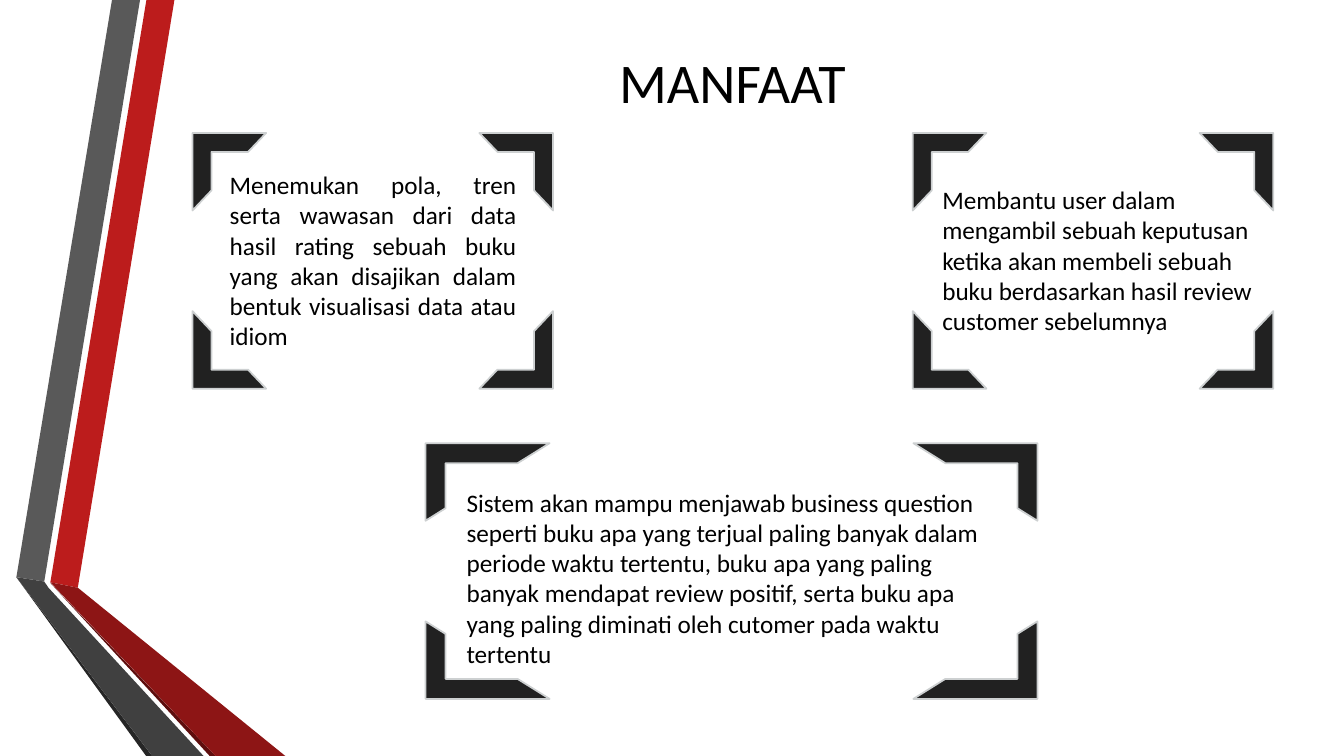
from pptx import Presentation
from pptx.dml.color import RGBColor
from pptx.enum.shapes import MSO_SHAPE
from pptx.enum.text import MSO_ANCHOR, MSO_AUTO_SIZE, PP_ALIGN
from pptx.util import Pt

HALF_FRAME = MSO_SHAPE.HALF_FRAME
MIDDLE = MSO_ANCHOR.MIDDLE
GROW = MSO_AUTO_SIZE.SHAPE_TO_FIT_TEXT
LEFT, CENTER, JUSTIFY = PP_ALIGN.LEFT, PP_ALIGN.CENTER, PP_ALIGN.JUSTIFY

COLORS = {
    "red": "BC1C1C", "red_dark": "8D1515", "red_edge": "5E0E0E",
    "gray": "595959", "gray_dark": "404040", "gray_edge": "262626",
    "corner": "212121", "corner_line": "CDD0D1", "text": "000000",
}


def rgb(name):
    return RGBColor.from_string(COLORS[name])


def set_text(tf, text, size, align):
    tf.word_wrap = True
    p = tf.paragraphs[0]
    p.text = text
    p.alignment = align
    p.font.name = "Calibri"
    p.font.size = Pt(size)
    p.font.color.rgb = rgb("text")


prs = Presentation()
prs.slide_width, prs.slide_height = Pt(960), Pt(540)
s = prs.slides.add_slide(prs.slide_layouts[5])

# Folded ribbons on the left edge
ribbons = [
    ("red", [(36, 416), (55.6, 419.8), (124.6, 0), (104.6, 0)]),
    ("gray", [(100, 0), (80, 0), (11.7, 412.3), (31.6, 415.4)]),
    ("gray_edge", [(11.7, 412.3), (104.4, 540), (108.7, 540)]),
    ("red_edge", [(36, 416.5), (149.8, 540), (154, 540)]),
    ("red_dark", [(36, 416), (154, 540), (203.8, 540), (55.6, 419.8)]),
    ("gray_dark", [(145.4, 540), (34.6, 419.8), (31.6, 415.4),
                   (11.7, 412.3), (108.7, 540)]),
]
for color, points in ribbons:
    (x0, y0), *rest = [(Pt(x), Pt(y)) for x, y in points]
    builder = s.shapes.build_freeform(x0, y0)
    builder.add_line_segments(rest, close=True)
    ribbon = builder.convert_to_shape()
    ribbon.shadow.inherit = False
    ribbon.fill.solid()
    ribbon.fill.fore_color.rgb = rgb(color)
    ribbon.line.fill.background()

title = s.shapes.title
title.left, title.top, title.width, title.height = Pt(383.8), Pt(20.2), Pt(278.6), Pt(74.9)
title.text_frame.vertical_anchor = MIDDLE
set_text(title.text_frame, "MANFAAT", 40, CENTER)

# Corner brackets: frame left, top, width and corner width
FRAME_H, CORNER_H = 182.6, 55.4
frames = [(137.5, 95, 257.5, 52.6), (652, 95, 257.5, 52.6), (304, 316.6, 437, 88.6)]
for left, top, width, corner_w in frames:
    for right, bottom, angle in [(0, 0, 0), (1, 0, 90), (0, 1, 270), (1, 1, 180)]:
        cx = left + corner_w / 2 + right * (width - corner_w)
        cy = top + CORNER_H / 2 + bottom * (FRAME_H - CORNER_H)
        w, h = (CORNER_H, corner_w) if angle in (90, 270) else (corner_w, CORNER_H)
        corner = s.shapes.add_shape(HALF_FRAME, Pt(cx - w / 2), Pt(cy - h / 2), Pt(w), Pt(h))
        corner.rotation = angle
        corner.adjustments[0] = corner.adjustments[1] = 0.258
        corner.shadow.inherit = False
        corner.fill.solid()
        corner.fill.fore_color.rgb = rgb("corner")
        corner.line.color.rgb = rgb("corner_line")
        corner.line.width = Pt(1.25)

benefits = [
    (157, 117.4, 218.9, 138.2, JUSTIFY,
     "Menemukan pola, tren serta wawasan dari data hasil rating sebuah buku yang akan "
     "disajikan dalam bentuk visualisasi data atau idiom"),
    (666, 128.2, 238.3, 116.6, LEFT,
     "Membantu user dalam mengambil sebuah keputusan ketika akan membeli sebuah buku "
     "berdasarkan hasil review customer sebelumnya"),
    (326.2, 344.2, 393.1, 138.2, LEFT,
     "Sistem akan mampu menjawab business question seperti buku apa yang terjual paling "
     "banyak dalam periode waktu tertentu, buku apa yang paling banyak mendapat review "
     "positif, serta buku apa yang paling diminati oleh cutomer pada waktu tertentu"),
]
for left, top, width, height, align, text in benefits:
    tf = s.shapes.add_textbox(Pt(left), Pt(top), Pt(width), Pt(height)).text_frame
    tf.auto_size = GROW
    set_text(tf, text, 18, align)

prs.save("out.pptx")
